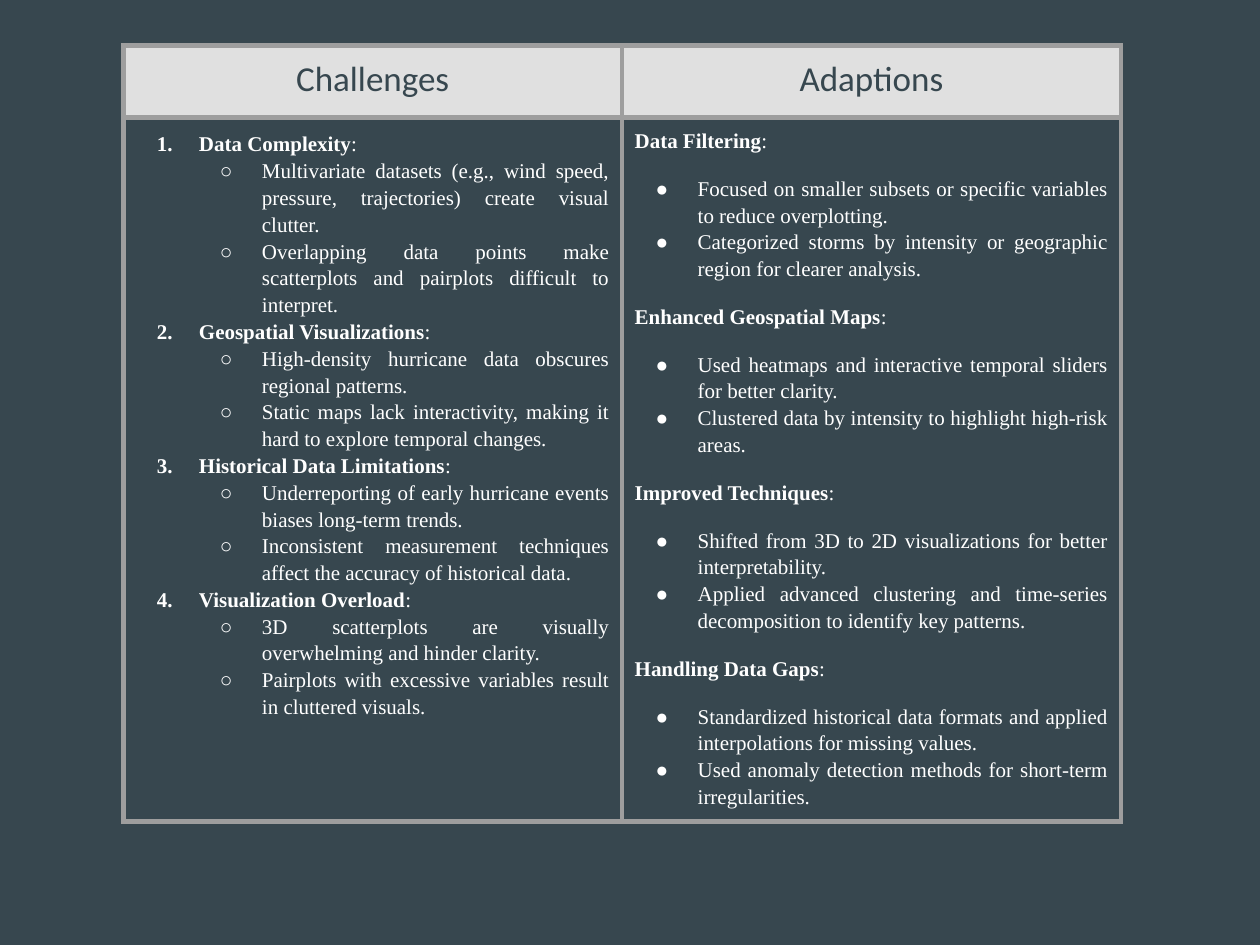
from lxml.etree import SubElement
from pptx import Presentation
from pptx.dml.color import RGBColor
from pptx.enum.text import MSO_ANCHOR, PP_ALIGN
from pptx.oxml import parse_xml
from pptx.oxml.ns import nsdecls, qn
from pptx.util import Pt

COLORS = {"slate": "37474F", "header": "E0E0E0", "border": "9E9E9E", "white": "FFFFFF"}
HEADER_FONT = {"name": "Calibri", "size": Pt(20), "bold": False}
BODY_FONT = {"name": "Times New Roman", "size": Pt(12)}
HEADER_HEIGHT = 41

CHALLENGES = [
    ("Data Complexity", [
        "Multivariate datasets (e.g., wind speed, pressure, trajectories) create visual clutter.",
        "Overlapping data points make scatterplots and pairplots difficult to interpret."]),
    ("Geospatial Visualizations", [
        "High-density hurricane data obscures regional patterns.",
        "Static maps lack interactivity, making it hard to explore temporal changes."]),
    ("Historical Data Limitations", [
        "Underreporting of early hurricane events biases long-term trends.",
        "Inconsistent measurement techniques affect the accuracy of historical data."]),
    ("Visualization Overload", [
        "3D scatterplots are visually overwhelming and hinder clarity.",
        "Pairplots with excessive variables result in cluttered visuals."]),
]
ADAPTIONS = [
    ("Data Filtering", [
        "Focused on smaller subsets or specific variables to reduce overplotting.",
        "Categorized storms by intensity or geographic region for clearer analysis."]),
    ("Enhanced Geospatial Maps", [
        "Used heatmaps and interactive temporal sliders for better clarity.",
        "Clustered data by intensity to highlight high-risk areas."]),
    ("Improved Techniques", [
        "Shifted from 3D to 2D visualizations for better interpretability.",
        "Applied advanced clustering and time-series decomposition to identify key patterns."]),
    ("Handling Data Gaps", [
        "Standardized historical data formats and applied interpolations for missing values.",
        "Used anomaly detection methods for short-term irregularities."]),
]


def color(name):
    return RGBColor.from_string(COLORS[name])


def apply(target, values):
    for name, value in values.items():
        setattr(target, name, value)


def add_run(paragraph, text, font, color_name):
    run = paragraph.add_run()
    run.text = text
    apply(run.font, font)
    run.font.color.rgb = color(color_name)


def set_bullet(paragraph, bullet, indent):
    """Hang a bullet character, or a number when bullet is "1."."""
    properties = paragraph._p.get_or_add_pPr()
    properties.set("marL", str(Pt(indent)))
    properties.set("indent", str(Pt(-24)))
    bullet_color = SubElement(properties, qn("a:buClr"))
    SubElement(bullet_color, qn("a:srgbClr"), val=COLORS["white"])
    SubElement(properties, qn("a:buFont"), typeface=BODY_FONT["name"])
    if bullet == "1.":
        SubElement(properties, qn("a:buAutoNum"), type="arabicPeriod")
    else:
        SubElement(properties, qn("a:buChar"), char=bullet)


def format_cell(cell, fill=None):
    margins = ("margin_left", "margin_right", "margin_top", "margin_bottom")
    apply(cell, dict.fromkeys(margins, Pt(7.2)))
    cell.vertical_anchor = MSO_ANCHOR.TOP
    if fill:
        cell.fill.solid()
        cell.fill.fore_color.rgb = color(fill)
    else:
        cell.fill.background()
    # Borders come before the fill in the cell properties
    for position, side in enumerate("LRTB"):
        cell._tc.get_or_add_tcPr().insert(position, parse_xml(
            f'<a:ln{side} {nsdecls("a")} w="{Pt(3)}"><a:solidFill>'
            f'<a:srgbClr val="{COLORS["border"]}"/></a:solidFill></a:ln{side}>'))


def fill_header(cell, text):
    format_cell(cell, "header")
    paragraph = cell.text_frame.paragraphs[0]
    paragraph.alignment = PP_ALIGN.CENTER
    add_run(paragraph, text, HEADER_FONT, "slate")


def fill_topics(cell, topics, numbered):
    format_cell(cell)
    frame = cell.text_frame

    def next_paragraph(first, space_before, level=0):
        paragraph = frame.paragraphs[0] if first else frame.add_paragraph()
        apply(paragraph, {"alignment": PP_ALIGN.JUSTIFY, "level": level,
                          "line_spacing": 1.15, "space_before": Pt(space_before)})
        return paragraph

    for topic_index, (heading, points) in enumerate(topics):
        first = topic_index == 0
        # The numbered list opens with a gap; the plain one has gaps between its parts
        paragraph = next_paragraph(first, 12 if first == numbered else 0)
        if numbered:
            set_bullet(paragraph, "1.", 36)
        elif first:
            paragraph.line_spacing = 1.0
        add_run(paragraph, heading, BODY_FONT | {"bold": True}, "white")
        add_run(paragraph, ":", BODY_FONT | {"bold": False}, "white")
        for point_index, point in enumerate(points):
            gap = 12 if point_index == 0 and not numbered else 0
            paragraph = next_paragraph(False, gap, int(numbered))
            set_bullet(paragraph, *(("○", 72) if numbered else ("●", 36)))
            add_run(paragraph, point, BODY_FONT | {"bold": False}, "white")


def add_comparison(slide, left, top, width, height):
    shape = slide.shapes.add_table(2, 2, Pt(left), Pt(top), Pt(width), Pt(height))
    table = shape.table
    apply(table, {"first_row": False, "horz_banding": False})
    for column in table.columns:
        column.width = Pt(width / 2)
    for row, row_height in zip(table.rows, (HEADER_HEIGHT, height - HEADER_HEIGHT)):
        row.height = Pt(row_height)
    columns = [("Challenges", CHALLENGES, True), ("Adaptions", ADAPTIONS, False)]
    for index, (title, topics, numbered) in enumerate(columns):
        fill_header(table.cell(0, index), title)
        fill_topics(table.cell(1, index), topics, numbered)


def main():
    presentation = Presentation()
    apply(presentation, {"slide_width": Pt(720), "slide_height": Pt(540)})
    slide = presentation.slides.add_slide(presentation.slide_layouts[6])
    # Background
    background = slide.background.fill
    background.solid()
    background.fore_color.rgb = color("slate")
    # Two-column table
    add_comparison(slide, 70.5, 26, 570, 443)
    presentation.save("out.pptx")


if __name__ == "__main__":
    main()
